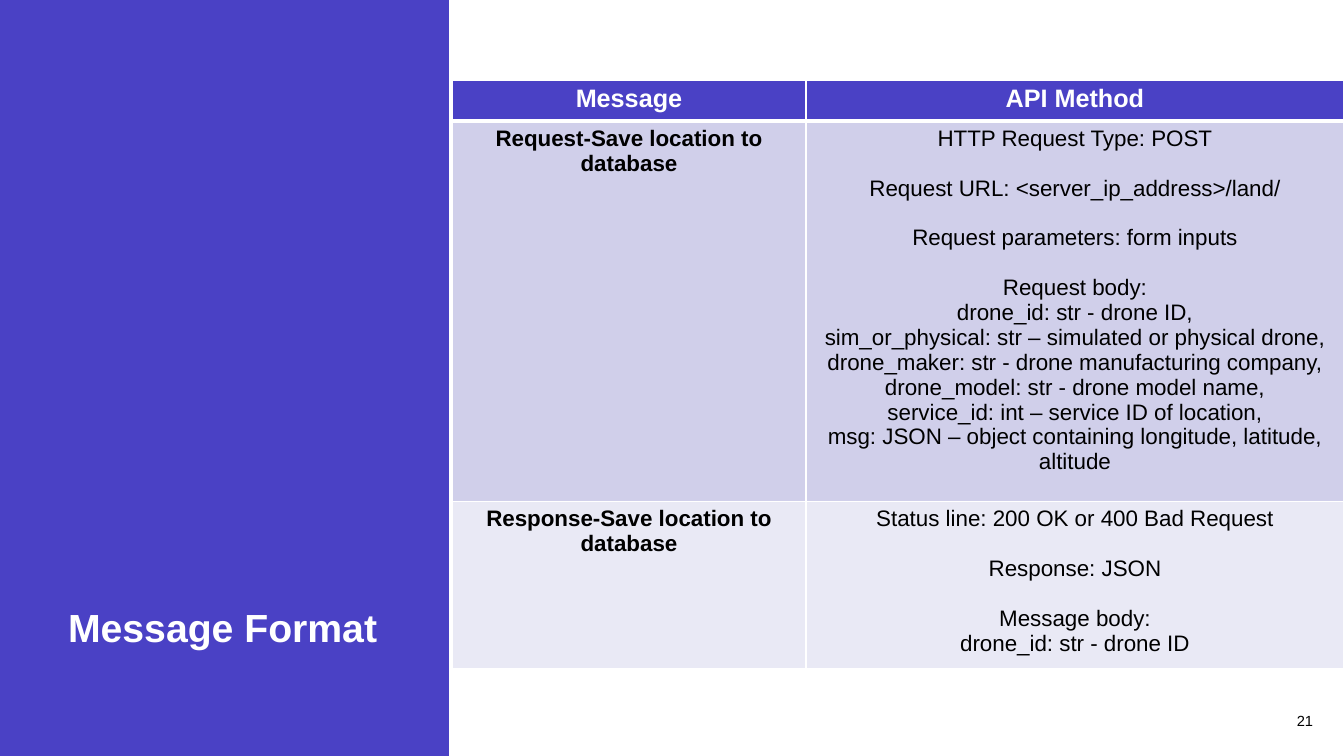
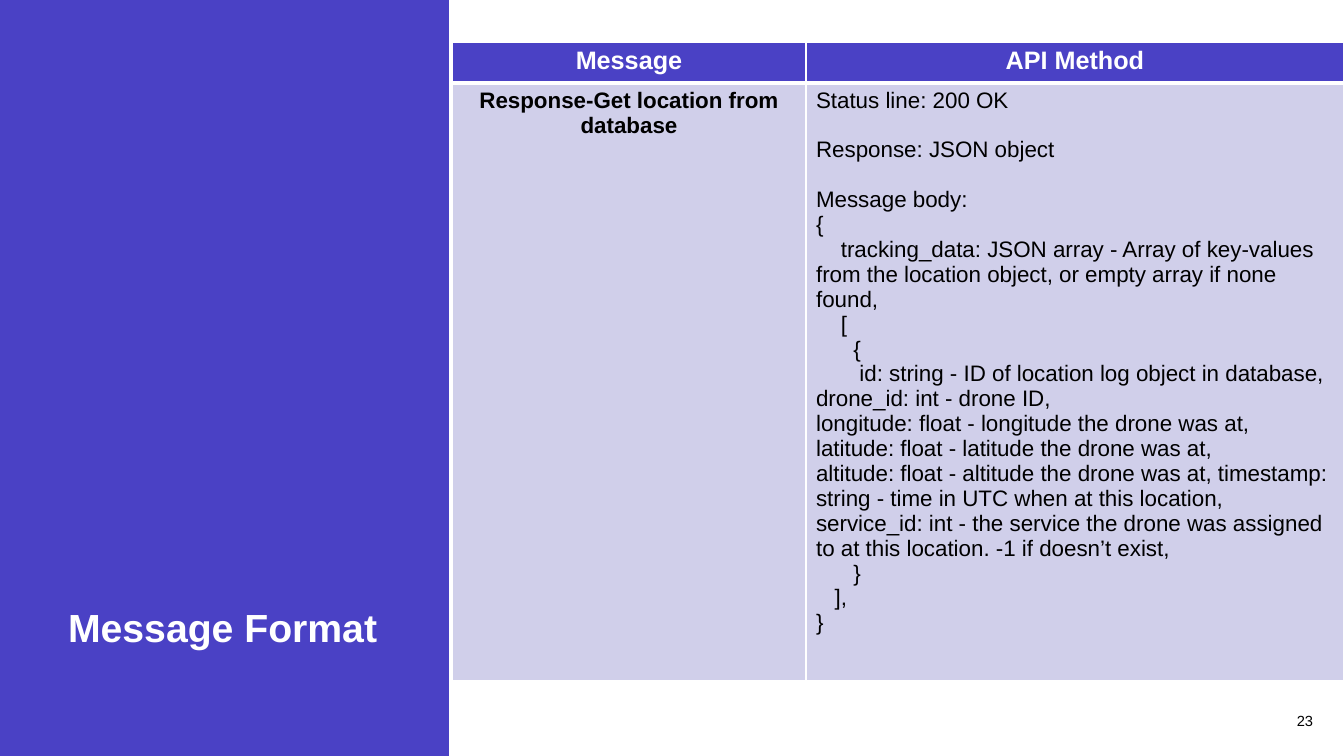
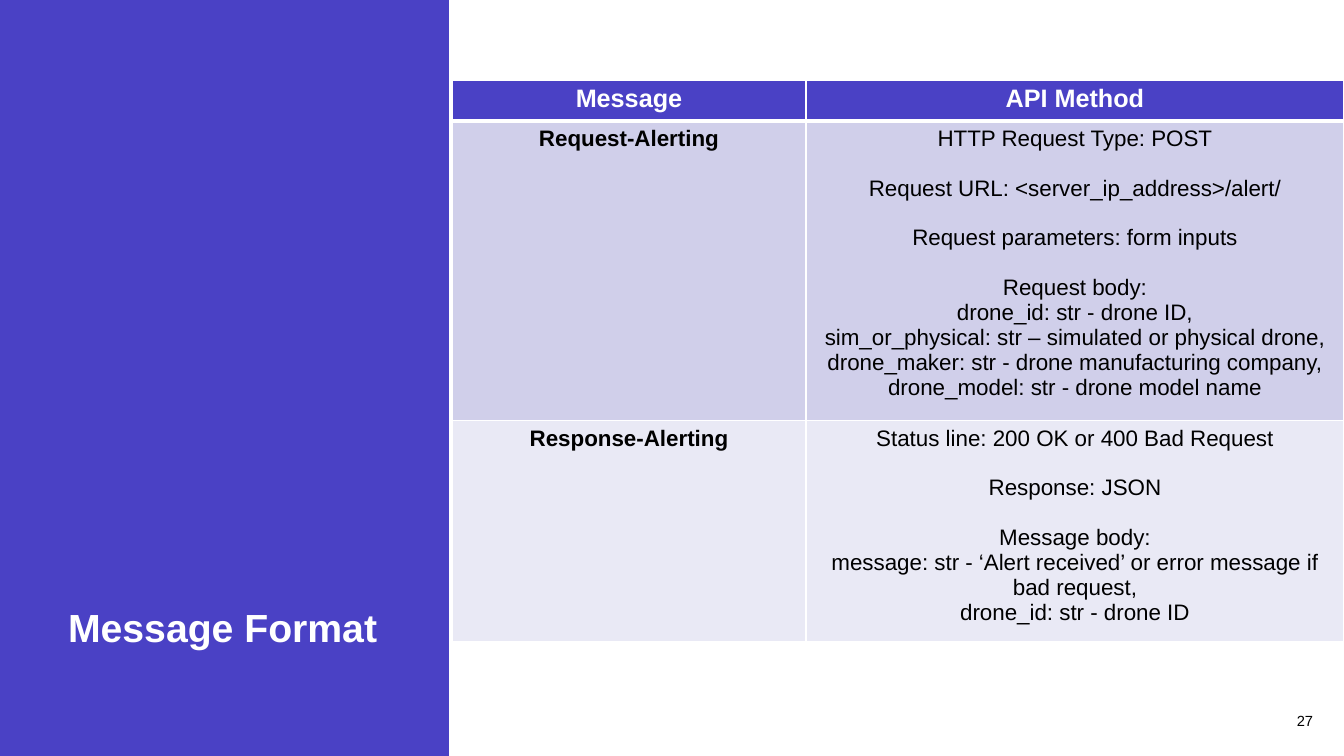
from lxml.etree import SubElement
from pptx import Presentation
from pptx.dml.color import RGBColor
from pptx.enum.shapes import MSO_SHAPE
from pptx.enum.text import MSO_ANCHOR, MSO_AUTO_SIZE, PP_ALIGN
from pptx.oxml.ns import qn
from pptx.util import Emu, Pt

PX = 914400 / 100.8
FONT = "Arial"
INDIGO = RGBColor(0x4A, 0x41, 0xC5)
LILAC = RGBColor(0xD0, 0xCF, 0xEA)
MIST = RGBColor(0xE9, 0xE9, 0xF5)
WHITE = RGBColor(0xFF, 0xFF, 0xFF)
BLACK = RGBColor(0, 0, 0)

TITLE = "Message Format"
HEADINGS = ("Message", "API Method")
BAND_BOX = (0, 0, 449, 756)
NUMBER_BOX = (1253, 701, 70, 40)
TABLE_X = 452
COLUMNS = (354, 538)
HEADER_HEIGHT = 41
SPACE_WIDTH = 6.2
LINE_GAP = Pt(17.8)


def px(n):
    return Emu(round(n * PX))


def box(*lengths):
    return [px(n) for n in lengths]


def add_text(p, text, size, color, bold=False):
    r = p.add_run()
    r.text = text
    r.font.name = FONT
    r.font.size = Pt(size)
    r.font.bold = bold
    r.font.color.rgb = color
    return r


def add_band(s, left, top, width, height):
    band = s.shapes.add_shape(MSO_SHAPE.RECTANGLE, *box(left, top, width, height))
    band.shadow.inherit = False
    band.fill.solid()
    band.fill.fore_color.rgb = INDIGO
    band.line.fill.background()
    title = s.shapes.title
    title.element.addprevious(band.element)
    title.left, title.top, title.width, title.height = box(
        left + 58, top + 86, width - 95, height - 186)
    tf = title.text_frame
    tf.word_wrap = True
    tf.auto_size = MSO_AUTO_SIZE.NONE
    tf.vertical_anchor = MSO_ANCHOR.BOTTOM
    p = tf.paragraphs[0]
    p.alignment = PP_ALIGN.LEFT
    p.line_spacing = 0.9
    r = add_text(p, TITLE, 28, WHITE, True)
    r.font.element.set("spc", "-20") if hasattr(r.font, "element") else None


def add_number(s, number, left, top, width, height):
    tf = s.shapes.add_textbox(*box(left, top, width, height)).text_frame
    tf.word_wrap = True
    tf.vertical_anchor = MSO_ANCHOR.MIDDLE
    p = tf.paragraphs[0]
    p.alignment = PP_ALIGN.RIGHT
    add_text(p, str(number), 10.5, BLACK)


def set_borders(cell, top, bottom):
    tcPr = cell._tc.get_or_add_tcPr()
    for side, width in (("L", 1), ("R", 1), ("T", top), ("B", bottom)):
        ln = SubElement(tcPr, qn(f"a:ln{side}"), w=str(Pt(width)))
        fill = SubElement(ln, qn("a:solidFill"))
        SubElement(fill, qn("a:srgbClr"), val=str(WHITE))


def fill_cell(cell, groups, color, size, ink, bold, align, top=1, bottom=1):
    set_borders(cell, top, bottom)
    cell.fill.solid()
    cell.fill.fore_color.rgb = color
    tf = cell.text_frame
    p = None
    for group in groups:
        for i, line in enumerate(group):
            first = p is None
            p = tf.paragraphs[0] if first else tf.add_paragraph()
            p.alignment = align
            if i == 0 and not first:
                p.space_before = LINE_GAP
            text = line.lstrip()
            indent = len(line) - len(text)
            if indent:
                p._p.get_or_add_pPr().set("indent", str(px(indent * SPACE_WIDTH)))
            add_text(p, text, size, ink, bold)


def add_message_table(s, top, rows, align):
    heights = [HEADER_HEIGHT] + [height for height, _, _ in rows]
    table = s.shapes.add_table(len(heights), len(COLUMNS), *box(
        TABLE_X, top, sum(COLUMNS), sum(heights))).table
    for column, width in zip(table.columns, COLUMNS):
        column.width = px(width)
    for row, height in zip(table.rows, heights):
        row.height = px(height)
    for i, heading in enumerate(HEADINGS):
        fill_cell(table.cell(0, i), [[heading]], INDIGO, 18, WHITE, True,
                  PP_ALIGN.CENTER, bottom=3)
    for i, (_, name, groups) in enumerate(rows, 1):
        color = LILAC if i % 2 else MIST
        edge = 3 if i == 1 else 1
        fill_cell(table.cell(i, 0), [[name]], color, 16, BLACK, True,
                  PP_ALIGN.CENTER, top=edge)
        fill_cell(table.cell(i, 1), groups, color, 16, BLACK, False, align, top=edge)


def add_message_slide(prs, number, top, rows, align=PP_ALIGN.CENTER):
    s = prs.slides.add_slide(prs.slide_layouts[5])
    add_band(s, *BAND_BOX)
    add_number(s, number, *NUMBER_BOX)
    add_message_table(s, top, rows, align)


def post_request(endpoint, ending="", extra=()):
    return [
        ["HTTP Request Type: POST"],
        [f"Request URL: <server_ip_address>/{endpoint}/"],
        ["Request parameters: form inputs"],
        ["Request body:",
         "drone_id: str - drone ID,",
         "sim_or_physical: str – simulated or physical drone, "
         "drone_maker: str - drone manufacturing company, "
         "drone_model: str - drone model name" + ending,
         *extra],
    ]


def post_response(*fields):
    return [
        ["Status line: 200 OK or 400 Bad Request"],
        ["Response: JSON"],
        ["Message body:", *fields, "drone_id: str - drone ID"],
    ]


SAVE_ROWS = [
    (358, "Request-Save location to database", post_request("land", ",", (
        "service_id: int – service ID of location,",
        "msg: JSON – object containing longitude, latitude, altitude"))),
    (160, "Response-Save location to database", post_response()),
]
GET_ROWS = [
    (582, "Response-Get location from database", [
        ["Status line: 200 OK"],
        ["Response: JSON object"],
        ["Message body:",
         "{",
         "    tracking_data: JSON array - Array of key-values from the location object, "
         "or empty array if none found,",
         "    [",
         "      {",
         "       id: string - ID of location log object in database, "
         "drone_id: int - drone ID,",
         "longitude: float - longitude the drone was at, "
         "latitude: float - latitude the drone was at,",
         "altitude: float - altitude the drone was at, "
         "timestamp: string - time in UTC when at this location,",
         "service_id: int - the service the drone was assigned to at this location. "
         "-1 if doesn’t exist,",
         "      }",
         "   ],",
         "}"],
    ]),
]
ALERT_ROWS = [
    (284, "Request-Alerting", post_request("alert")),
    (209, "Response-Alerting", post_response(
        "message: str - ‘Alert received’ or error message if bad request,")),
]


def main():
    prs = Presentation()
    prs.slide_width, prs.slide_height = box(1344, 756)
    add_message_slide(prs, 21, 80, SAVE_ROWS)
    add_message_slide(prs, 23, 42, GET_ROWS, PP_ALIGN.LEFT)
    add_message_slide(prs, 27, 80, ALERT_ROWS)
    prs.save("out.pptx")


if __name__ == "__main__":
    main()
